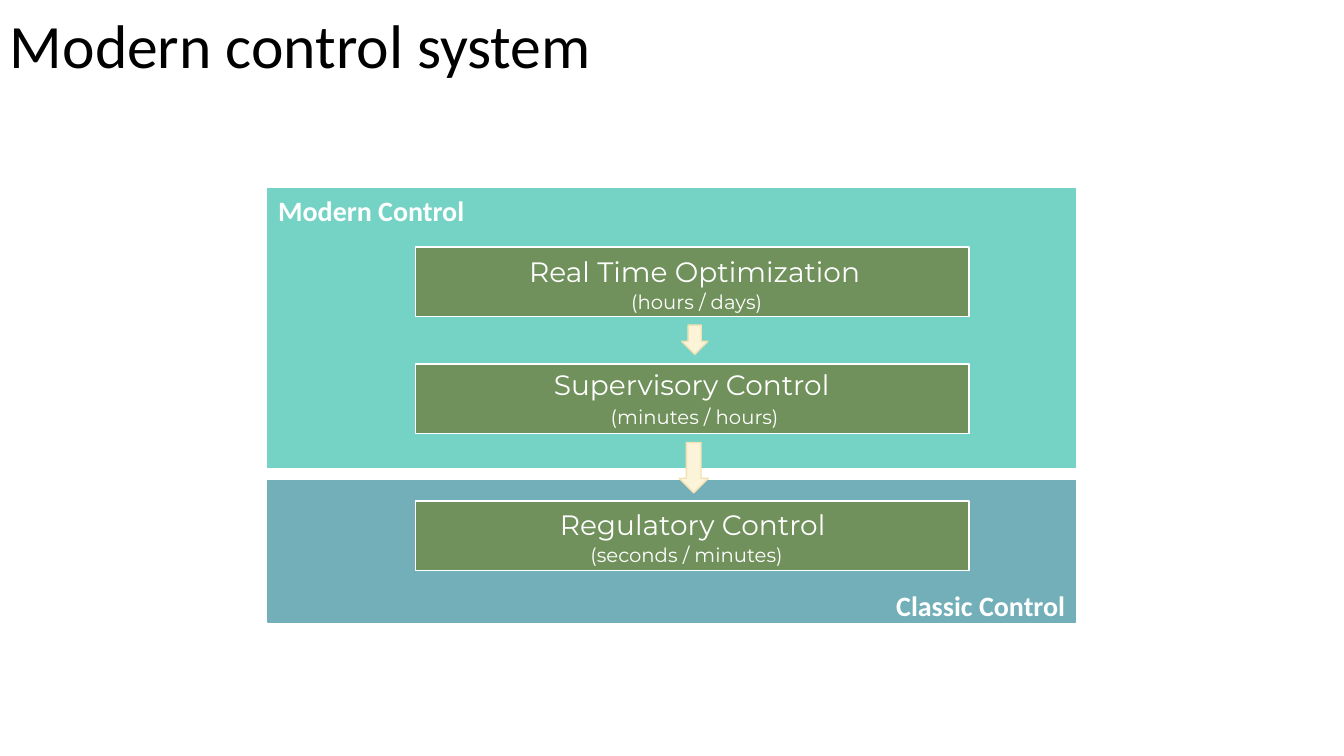
from pptx import Presentation
from pptx.dml.color import RGBColor
from pptx.enum.shapes import MSO_SHAPE as Preset
from pptx.enum.text import MSO_ANCHOR as Anchor, PP_ALIGN as Align
from pptx.util import Inches, Pt

WIDTH, HEIGHT = 13.33, 7.5
WHITE, BLACK, GREEN = "FFFFFF", "000000", "70915B"
CREAM, SAND = "FCF4D9", "F4E1B3"

TITLE = "Modern control system"
BANDS = [
    {"top": 4.77, "height": 1.4, "color": "72AFB9"},
    {"top": 1.87, "height": 2.77, "color": "75D3C6"},
]
BAND_LABELS = [("Modern Control", 2.66, 1.87), ("Classic Control", 8.79, 5.79)]
LAYERS = [
    {"top": 2.45, "name": ("Real Time Optimization", 6.89, 2.48),
     "period": ("(hours / days)", 6.91, 2.83)},
    {"top": 3.61, "name": ("Supervisory Control", 6.86, 3.6),
     "period": ("(minutes / hours)", 6.89, 3.97)},
    {"top": 4.97, "name": ("Regulatory Control", 6.87, 4.99),
     "period": ("(seconds / minutes)", 6.81, 5.34)},
]
ARROWS = [(6.89, 3.37, 0.29, 0.26), (6.88, 4.64, 0.5, 0.29)]

BAND_LEFT, BAND_WIDTH = 2.66, 8.01
LAYER_WIDTH, LAYER_HEIGHT = 5.49, 0.69
LAYER_LEFT = 4.12
CAPTION_WIDTH = 3.77

presentation = Presentation()
presentation.slide_width, presentation.slide_height = Inches(WIDTH), Inches(HEIGHT)
slide = presentation.slides.add_slide(presentation.slide_layouts[6])


def color(value):
    return RGBColor.from_string(value)


def add_box(preset, left, top, width, height, fill, line, rotation=0):
    shape = slide.shapes.add_shape(
        preset, Inches(left), Inches(top), Inches(width), Inches(height))
    shape.shadow.inherit = False
    shape.fill.solid()
    shape.fill.fore_color.rgb = color(fill)
    shape.line.color.rgb = color(line)
    shape.line.width = Pt(1)
    shape.rotation = rotation


def add_text(text, left, top, width, height, size=20, font="Calibri", ink=WHITE,
             bold=False, align=Align.LEFT, anchor=Anchor.TOP, wrap=True, spacing=1.0):
    box = slide.shapes.add_textbox(
        Inches(left), Inches(top), Inches(width), Inches(height))
    frame = box.text_frame
    frame.word_wrap = wrap
    frame.vertical_anchor = anchor
    paragraph = frame.paragraphs[0]
    paragraph.alignment = align
    paragraph.line_spacing = spacing
    run = paragraph.add_run()
    run.text = text
    run.font.name, run.font.size, run.font.bold = font, Pt(size), bold
    run.font.color.rgb = color(ink)


def add_caption(text, center, top, height, size):
    add_text(text, center - CAPTION_WIDTH / 2, top, CAPTION_WIDTH, height, size=size,
             font="Montserrat", align=Align.CENTER, wrap=False)


add_text(TITLE, 0, 0, 11.5, 0.97, size=44, ink=BLACK, anchor=Anchor.MIDDLE, spacing=0.9)

for band in BANDS:
    add_box(Preset.RECTANGLE, BAND_LEFT, band["top"], BAND_WIDTH, band["height"],
            band["color"], band["color"])
for label, left, top in BAND_LABELS:
    add_text(label, left, top, 2.32, 0.44, bold=True)

for layer in LAYERS:
    add_box(Preset.RECTANGLE, LAYER_LEFT, layer["top"], LAYER_WIDTH, LAYER_HEIGHT,
            GREEN, WHITE)
    add_caption(*layer["name"], height=0.44, size=20)
    add_caption(*layer["period"], height=0.34, size=14)

for center, middle, length, thickness in ARROWS:
    add_box(Preset.RIGHT_ARROW, center - length / 2, middle - thickness / 2,
            length, thickness, CREAM, SAND, rotation=90)

presentation.save("out.pptx")
